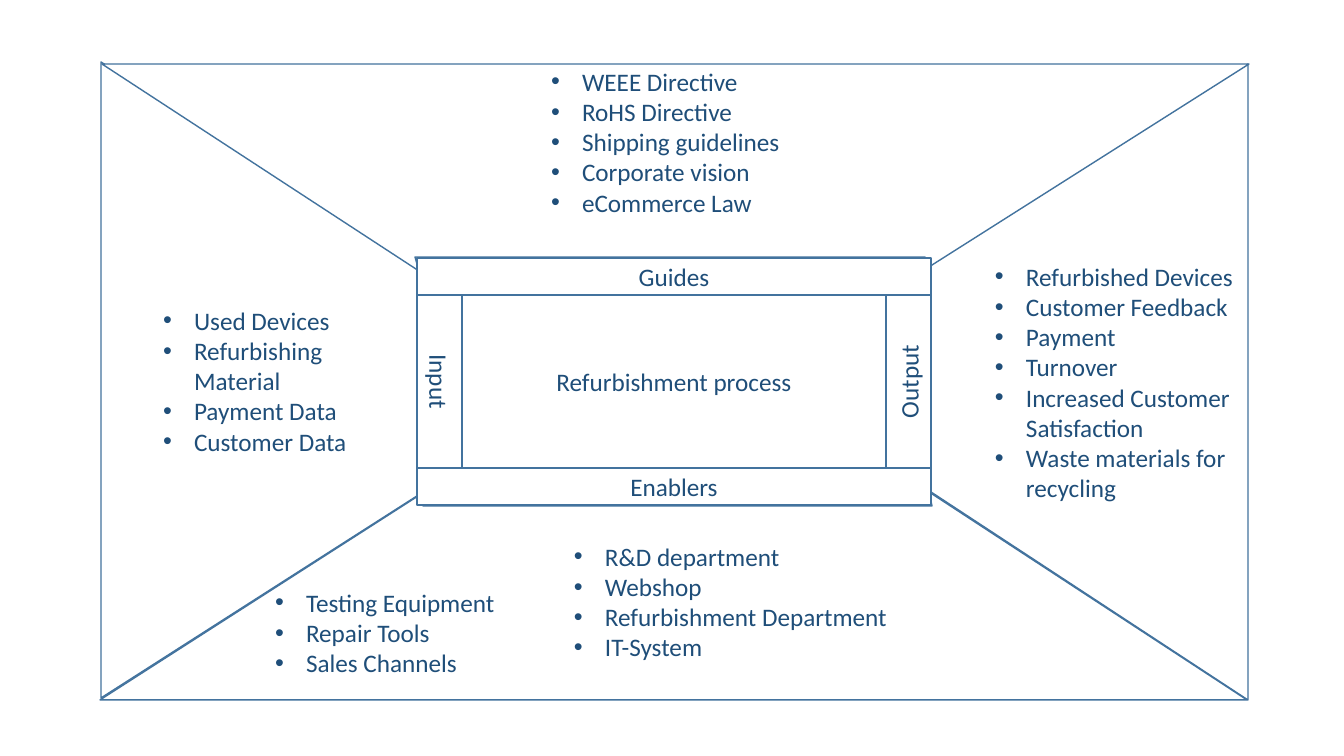
from collections import namedtuple

from pptx import Presentation
from pptx import util as u
from pptx.dml import color
from pptx.enum import shapes, text
from lxml import etree

PX = 914400 / 100.8
COLOURS = {"panel": "FFFFFF", "line": "43739E", "text": "1F4E79"}
FONT, SIZE = "Calibri", u.Pt(18)
INDENT, INSET, LINE_HEIGHT = 31, 4, 30.5
Box = namedtuple("Box", "left top width height")


def emu(pixels):
    return u.Emu(round(pixels * PX))


def rgb(name):
    return color.RGBColor.from_string(COLOURS[name])


def inside(box, left, top, width, height):
    """Place a box relative to its parent."""
    return Box(box.left + left, box.top + top, width, height)


def style_outline(shape):
    shape.shadow.inherit = False
    shape.fill.solid()
    shape.fill.fore_color.rgb = rgb("panel")
    shape.line.color.rgb = rgb("line")
    shape.line.width = u.Pt(1)


def style_text(para, align):
    para.alignment = align
    para.font.name = FONT
    para.font.size = SIZE
    para.font.color.rgb = rgb("text")


def set_insets(frame, inset):
    frame.margin_left = frame.margin_right = emu(inset)
    frame.margin_top = frame.margin_bottom = emu(inset)


def add_panel(page, box, points):
    (first_x, first_y), *others = [(box.left + x, box.top + y) for x, y in points]
    builder = page.shapes.build_freeform(first_x, first_y, scale=PX)
    builder.add_line_segments(others, close=True)
    style_outline(builder.convert_to_shape())


def add_label(page, box, caption, direction="horz"):
    shape = page.shapes.add_shape(shapes.MSO_SHAPE.RECTANGLE, *map(emu, box))
    style_outline(shape)
    frame = shape.text_frame
    frame.word_wrap = True
    frame.vertical_anchor = text.MSO_ANCHOR.MIDDLE
    set_insets(frame, 0)
    frame.paragraphs[0].text = caption
    style_text(frame.paragraphs[0], text.PP_ALIGN.CENTER)
    # Direction of the text needs XML
    shape.text_frame._txBody.bodyPr.set("vert", direction)


def add_list(page, box, left, top, width, lines, items):
    area = inside(box, left, top, width, lines * LINE_HEIGHT + 2 * INSET)
    frame = page.shapes.add_textbox(*map(emu, area)).text_frame
    frame.word_wrap = True
    set_insets(frame, INSET)
    for index, item in enumerate(items):
        para = frame.paragraphs[0] if index == 0 else frame.add_paragraph()
        para.text = item
        style_text(para, text.PP_ALIGN.LEFT)
        # Bullet and hanging indent, ahead of the font defaults
        props = para._p.get_or_add_pPr()
        props.set("marL", str(emu(INDENT)))
        props.set("indent", str(-emu(INDENT)))
        space = "{http://schemas.openxmlformats.org/drawingml/2006/main}"
        font = etree.Element(space + "buFont", typeface="Arial")
        bullet = etree.Element(space + "buChar", char="•")
        props.insert(0, font)
        props.insert(1, bullet)


def draw_panels(page, box):
    width, height = box.width, box.height
    # Input, output, enablers, guides
    add_panel(page, box, [(0, -2), (316, 205), (316, 432), (0, height - 2)])
    add_panel(page, box, [(width, 0), (830, 201), (830, 428), (width, height)])
    add_panel(page, box, [(-1, height), (325, 427), (322, 442),
                          (831, 442), (828, 428), (width - 1, height)])
    add_panel(page, box, [(1, 0), (318, 207), (314, 193),
                          (824, 193), (820, 208), (width + 1, 0)])


def draw_core(page, box):
    bar, side = 37, 45
    inner_width, inner_height = box.width - 2 * side, box.height - 2 * bar
    add_label(page, inside(box, side, bar, inner_width, inner_height),
              "Refurbishment process")
    for top, caption in ((0, "Guides"), (box.height - bar, "Enablers")):
        add_label(page, inside(box, 0, top, box.width, bar), caption)
    for left, caption, direction in ((0, "Input", "vert"),
                                     (box.width - side, "Output", "vert270")):
        add_label(page, inside(box, left, bar, side, inner_height),
                  caption, direction)


def draw_lists(page, box):
    # Guides
    add_list(page, box, 446, -2, 406, 5,
             ["WEEE Directive", "RoHS Directive", "Shipping guidelines",
              "Corporate vision", "eCommerce Law"])
    # Enablers
    add_list(page, box, 469, 473, 388, 4,
             ["R&D department", "Webshop", "Refurbishment Department", "IT-System"])
    add_list(page, box, 170, 519, 258, 3,
             ["Testing Equipment", "Repair Tools", "Sales Channels"])
    # Input
    add_list(page, box, 58, 237, 241, 5,
             ["Used Devices", "Refurbishing Material", "Payment Data",
              "Customer Data"])
    # Output
    add_list(page, box, 890, 193, 250, 8,
             ["Refurbished Devices", "Customer Feedback", "Payment", "Turnover",
              "Increased Customer Satisfaction", "Waste materials for recycling"])


deck = Presentation()
deck.slide_width, deck.slide_height = emu(1344), emu(756)
page = deck.slides.add_slide(deck.slide_layouts[6])
diagram = Box(101, 64, 1147, 636)
draw_panels(page, diagram)
draw_core(page, inside(diagram, 316, 194, 514, 247))
draw_lists(page, diagram)
deck.save("out.pptx")
